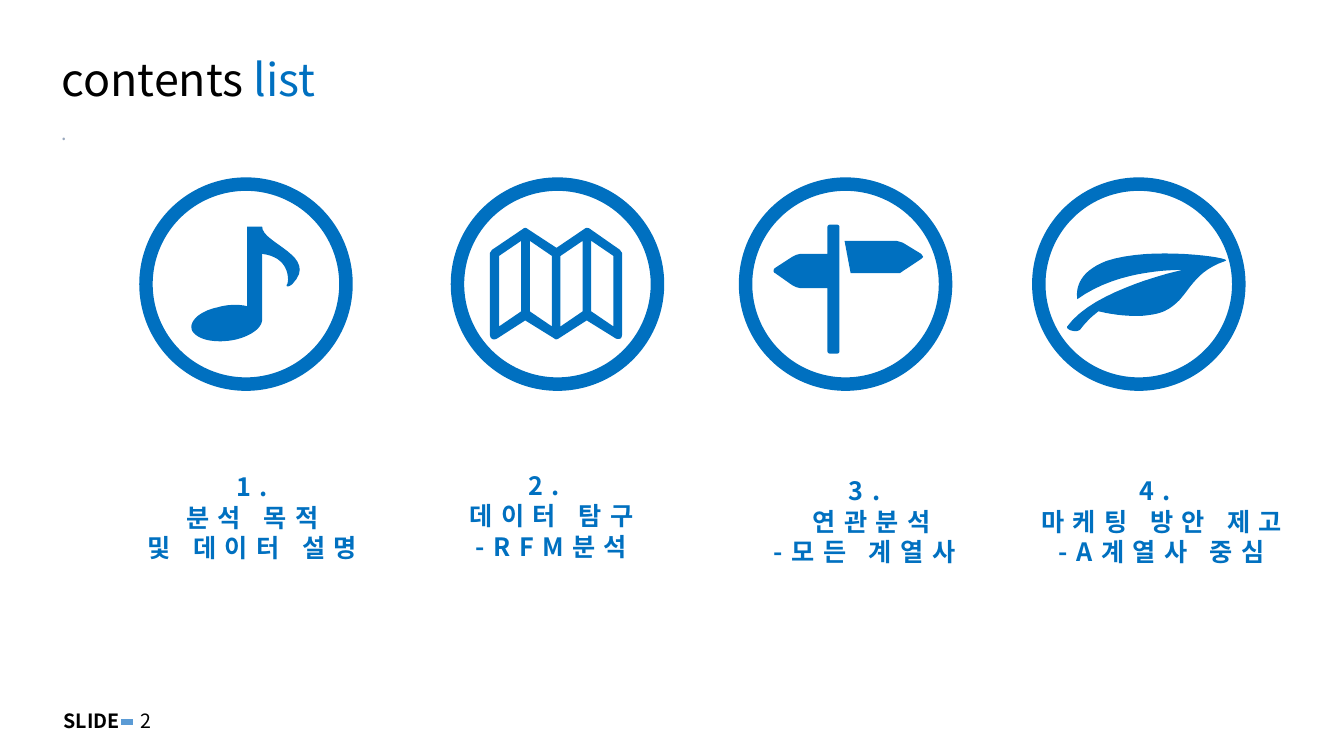
"""Build a contents slide with four ringed icons and their captions."""
import pptx
import pptx.dml.color
import pptx.enum.shapes
import pptx.enum.text
import pptx.oxml
import pptx.oxml.ns
import pptx.util

Cm, Pt = pptx.util.Cm, pptx.util.Pt
ALIGN = pptx.enum.text.PP_ALIGN
SHAPE = pptx.enum.shapes.MSO_SHAPE

FONT = "Noto Sans CJK KR"
COLORS = {"blue": "0070C0", "light": "5B9BD5", "black": "000000", "grey": "99A8BD"}
RING_SIZE, RING_BAND, RING_MIDDLE = 5.38, 0.34, 7.16
ICON_UNIT = 0.0254
DETAIL = 10
CURVE_STEPS = 16

# fmt: off
NOTE = [[
    (46, 0), (41, 4, 39, 2, 41, 0), (43, -6, 42, -27, 16, -30), (16, 35),
    (16, 43, 6, 51, -10, 55), (-29, 59, -47, 56, -53, 47),
    (-58, 38, -47, 27, -28, 23), (-18, 20, -6, 20, 1, 22), (1, -57),
    (16, -57), (16, -40, 73, -28, 46, 0),
]]
MAP_EDGE = [
    (64, -31), (64, 50), (64, 54, 62, 55, 58, 54), (29, 36), (1, 54),
    (-1, 55, -2, 55, -3, 54), (-32, 36), (-60, 54), (-64, 56, -67, 54, -67, 50),
    (-67, -31), (-65, -34), (-34, -55), (-33, -56, -31, -56, -30, -55),
    (-1, -36), (27, -55), (28, -56, 30, -56, 32, -55), (62, -34),
]
SIGNPOST = [
    [(-6, -56), (-6, 66), (-6, 68, -7, 69, -9, 69), (-15, 69),
     (-17, 69, -18, 68, -18, 66), (-18, 4), (-45, 4), (-49, 3), (-53, 1),
     (-70, -11), (-72, -12, -72, -14, -70, -16), (-53, -27), (-49, -29),
     (-45, -30), (-18, -30), (-18, -56), (-18, -58, -17, -59, -15, -59),
     (-9, -59), (-7, -59, -6, -58, -6, -56)],
    [(77, -27), (75, -25), (57, -13), (54, -11), (50, -11), (5, -11),
     (-1, -43), (50, -43), (54, -42), (57, -41), (75, -30)],
]
LEAF = [[
    (86, -23), (48, -10, 51, 15, 25, 27), (5, 35, -23, 31, -40, 27),
    (-40, 27, -51, 35, -58, 45), (-62, 49, -73, 45, -71, 42),
    (-45, 5, 43, -14, 43, -14), (43, -14, -19, -16, -61, 15),
    (-62, 8, -63, -11, -32, -23), (12, -38, 95, -26, 86, -23),
]]
# fmt: on


def map_panels():
    """Return the four slanted openings of the folded map."""
    panels = []
    for index in range(4):
        left = -58 + 30.5 * index
        near, far = (left, left + 22) if index % 2 == 0 else (left + 22, left)
        panels.append([(far, -43), (near, -28), (near, 42), (far, 27)])
    return panels


TOPICS = [
    (6.2, NOTE, (2.97, 11.76, 6.78), ["1.", "분석 목적", "및 데이터 설명"]),
    (14.05, [MAP_EDGE] + map_panels(), (11.18, 11.73, 5.44),
     ["2. ", "데이터 탐구", "-RFM분석"]),
    (21.31, SIGNPOST, (18.82, 11.86, 5.94), ["3.", " 연관분석", "-모든 계열사"]),
    (28.7, LEAF, (24.71, 11.86, 9.14), ["4. ", "마케팅 방안 제고", "-A계열사 중심"]),
]
LABELS = [
    (".", (1.3, 2.92, 31.55, 1.22), "grey", False),
    ("SLIDE", (1.35, 17.75, 2.0, 0.86), "black", True),
    ("2", (3.3, 17.73, 1.8, 0.86), "black", False),
]


def rgb(name):
    """Return the named colour."""
    return pptx.dml.color.RGBColor.from_string(COLORS[name])


def style(span, size, color, bold=False, spacing=0):
    """Format one run, including its East Asian font."""
    span.font.name, span.font.size, span.font.bold = FONT, Pt(size), bold
    span.font.color.rgb = rgb(color)
    properties = span.font._element
    if spacing:
        properties.set("spc", str(spacing * 100))
    east = pptx.oxml.parse_xml(
        f'<a:ea {pptx.oxml.ns.nsdecls("a")} typeface="{FONT}"/>')
    properties.find(pptx.oxml.ns.qn("a:latin")).addnext(east)


def add_text(page, place, lines, size, color, bold, spacing=0, align=ALIGN.LEFT):
    """Add a wrapped text box with one paragraph per line."""
    box = page.shapes.add_textbox(*[Cm(length) for length in place])
    box.text_frame.word_wrap = True
    box.text_frame.text = "\n".join(lines)
    for para in box.text_frame.paragraphs:
        para.alignment = align
        for span in para.runs:
            style(span, size, color, bold, spacing)
    return box


def paint(shape):
    """Fill a shape blue with no line or shadow."""
    shape.shadow.inherit = False
    shape.fill.solid()
    shape.fill.fore_color.rgb = rgb("blue")
    shape.line.fill.background()


def flatten(outline):
    """Turn points and cubic curves into a fine list of points."""
    points = [outline[0]]
    for part in outline[1:]:
        if len(part) == 2:
            points.append(part)
            continue
        corners = [points[-1], part[:2], part[2:4], part[4:]]
        for step in range(1, CURVE_STEPS + 1):
            t = step / CURVE_STEPS
            weights = ((1 - t) ** 3, 3 * t * (1 - t) ** 2, 3 * t * t * (1 - t), t ** 3)
            points.append(tuple(
                sum(weight * corner[axis] for weight, corner in zip(weights, corners))
                for axis in (0, 1)))
    return [(x * DETAIL, y * DETAIL) for x, y in points]


def add_icon(page, center, outlines):
    """Draw an icon around the centre of its ring."""
    contours = [flatten(outline) for outline in outlines]
    builder = page.shapes.build_freeform(*contours[0][0], scale=Cm(ICON_UNIT) / DETAIL)
    for index, points in enumerate(contours):
        if index:
            builder.move_to(*points[0])
        builder.add_line_segments(points[1:], close=True)
    paint(builder.convert_to_shape(Cm(center), Cm(RING_MIDDLE)))


def add_ring(page, center):
    """Draw the ring around an icon."""
    ring = page.shapes.add_shape(
        SHAPE.DONUT, Cm(center - RING_SIZE / 2), Cm(RING_MIDDLE - RING_SIZE / 2),
        Cm(RING_SIZE), Cm(RING_SIZE))
    ring.adjustments[0] = RING_BAND / RING_SIZE
    paint(ring)


def main():
    """Assemble and save the slide."""
    deck = pptx.Presentation()
    deck.slide_width, deck.slide_height = Cm(33.87), Cm(19.05)
    page = deck.slides.add_slide(deck.slide_layouts[5])

    title = page.shapes.title
    title.left, title.top, title.width, title.height = Cm(1.3), Cm(1.27), Cm(31.55), Cm(1.57)
    title.text_frame.vertical_anchor = pptx.enum.text.MSO_ANCHOR.MIDDLE
    para = title.text_frame.paragraphs[0]
    para.alignment, para.line_spacing = ALIGN.LEFT, 0.9
    for text, color in [("contents ", "black"), ("list", "blue")]:
        span = para.add_run()
        span.text = text
        style(span, 32, color)

    for text, place, color, bold in LABELS:
        add_text(page, place, [text], 14, color, bold)

    dash = page.shapes.add_connector(
        pptx.enum.shapes.MSO_CONNECTOR.STRAIGHT, Cm(3.05), Cm(18.19), Cm(3.36), Cm(18.19))
    dash.line.color.rgb, dash.line.width = rgb("light"), Pt(4.5)
    dash._element.spPr.append(
        pptx.oxml.parse_xml(f'<a:effectLst {pptx.oxml.ns.nsdecls("a")}/>'))

    for center, outlines, (left, top, width), lines in TOPICS:
        add_ring(page, center)
        add_icon(page, center, outlines)
        add_text(page, (left, top, width, 2.57), lines, 18, "blue", True, 6, ALIGN.CENTER)

    deck.save("out.pptx")


if __name__ == "__main__":
    main()
